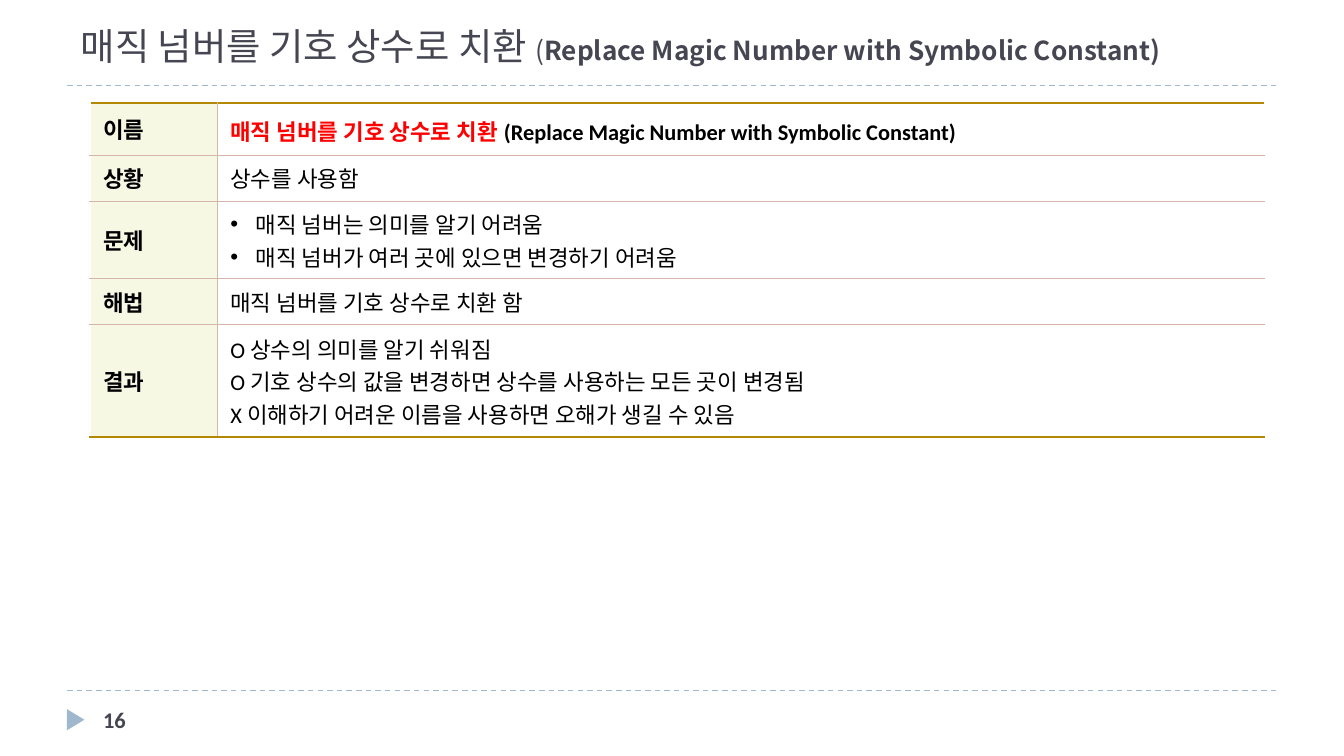
from lxml import etree
from pptx import Presentation
from pptx.dml.color import RGBColor
from pptx.enum.dml import MSO_LINE
from pptx.enum.shapes import MSO_CONNECTOR, MSO_SHAPE
from pptx.enum.text import MSO_ANCHOR, MSO_AUTO_SIZE, PP_ALIGN
from pptx.oxml.ns import qn
from pptx.util import Cm, Pt

DASH = MSO_LINE.DASH
STRAIGHT = MSO_CONNECTOR.STRAIGHT
TRIANGLE = MSO_SHAPE.ISOSCELES_TRIANGLE
MIDDLE, BOTTOM = MSO_ANCHOR.MIDDLE, MSO_ANCHOR.BOTTOM
LEFT = PP_ALIGN.LEFT
NO_FIT = MSO_AUTO_SIZE.NONE

BLACK = RGBColor(0x00, 0x00, 0x00)
RED = RGBColor(0xFF, 0x00, 0x00)
SLATE = RGBColor(0x46, 0x46, 0x53)
SKY = RGBColor(0x9F, 0xB8, 0xCD)
CREAM = RGBColor(0xF6, 0xF8, 0xE4)
GOLD = RGBColor(0xB3, 0x88, 0x07)
ROSE = RGBColor(0xD4, 0xB5, 0xAA)

KOREAN, LATIN = "Noto Sans CJK KR", "Calibri"
TITLE = {"name": KOREAN, "size": Pt(20), "bold": False, "color": SLATE}
SUBTITLE = {**TITLE, "size": Pt(14)}
NUMBER = {"name": LATIN, "size": Pt(12), "bold": True, "color": SLATE}
LABEL = {**NUMBER, "color": BLACK}
BODY = {**LABEL, "bold": False}

# label, row height in cm, bulleted, paragraphs of (text, format) runs
ROWS = [
    ("이름", 0.98, False, [[
        ("매직 넘버를 기호 상수로 치환", {**LABEL, "color": RED}),
        (" ", {**LABEL, "size": Pt(14)}),
        ("(Replace Magic Number with Symbolic Constant)", LABEL)]]),
    ("상황", 0.87, False, [[("상수를 사용함", BODY)]]),
    ("문제", 1.47, True, [
        [("매직 넘버는 의미를 알기 어려움", BODY)],
        [("매직 넘버가 여러 곳에 있으면 변경하기 어려움", BODY)]]),
    ("해법", 0.87, False, [[("매직 넘버를 기호 상수로 치환 함", BODY)]]),
    ("결과", 2.12, False, [
        [("O 상수의 의미를 알기 쉬워짐", BODY)],
        [("O 기호 상수의 값을 변경하면 상수를 사용하는 모든 곳이 변경됨", BODY)],
        [("X 이해하기 어려운 이름을 사용하면 오해가 생길 수 있음", BODY)]]),
]


class SlideBuilder:
    def __init__(self, prs):
        self.s = prs.slides.add_slide(prs.slide_layouts[5])

    def set_text(self, tf, paragraphs, bulleted=False):
        for i, runs in enumerate(paragraphs):
            p = tf.paragraphs[0] if i == 0 else tf.add_paragraph()
            p.alignment = LEFT
            if bulleted:
                self.bullet(p)
            for text, style in runs:
                r = p.add_run()
                r.text = text
                for key, value in style.items():
                    if key == "color":
                        r.font.color.rgb = value
                    else:
                        setattr(r.font, key, value)
                ea = etree.Element(qn("a:ea"), typeface=KOREAN)
                r._r.get_or_add_rPr().find(qn("a:latin")).addnext(ea)

    def bullet(self, p):
        pPr = p._p.get_or_add_pPr()
        pPr.set("marL", str(Cm(0.48)))
        pPr.set("indent", str(-Cm(0.48)))
        etree.SubElement(pPr, qn("a:buFont"), typeface="Arial")
        etree.SubElement(pPr, qn("a:buChar"), char="•")

    def title(self, x, y, w, h, runs):
        sp = self.s.shapes.title
        sp.left, sp.top, sp.width, sp.height = Cm(x), Cm(y), Cm(w), Cm(h)
        tf = sp.text_frame
        tf.auto_size, tf.vertical_anchor = NO_FIT, BOTTOM
        self.set_text(tf, [runs])

    def text(self, x, y, w, h, runs):
        tf = self.s.shapes.add_textbox(Cm(x), Cm(y), Cm(w), Cm(h)).text_frame
        tf.word_wrap = True
        self.set_text(tf, [runs])

    def rule(self, x1, x2, y):
        line = self.s.shapes.add_connector(STRAIGHT, Cm(x1), Cm(y), Cm(x2), Cm(y))
        line.line.color.rgb = SKY
        line.line.width = Pt(0.75)
        line.line.dash_style = DASH
        etree.SubElement(line._element.spPr, qn("a:effectLst"))

    def marker(self, x, y, w, h):
        sp = self.s.shapes.add_shape(TRIANGLE, Cm(x), Cm(y), Cm(w), Cm(h))
        sp.rotation = 90
        sp.shadow.inherit = False
        sp.fill.solid()
        sp.fill.fore_color.rgb = SKY
        sp.line.fill.background()

    def border(self, cell, side, color, width):
        tcPr = cell._tc.get_or_add_tcPr()
        ln = etree.SubElement(tcPr, qn(f"a:ln{side}"), w=str(Pt(width)))
        fill = etree.SubElement(ln, qn("a:solidFill"))
        etree.SubElement(fill, qn("a:srgbClr"), val=str(color))

    def cell(self, cell, paragraphs, is_label, is_first, is_last, bulleted=False):
        cell.vertical_anchor = MIDDLE
        self.border(cell, "R" if is_label else "L", ROSE, 0.5)
        for side, is_edge in (("T", is_first), ("B", is_last)):
            self.border(cell, side, *((GOLD, 1) if is_edge else (ROSE, 0.5)))
        if is_label:
            cell.fill.solid()
            cell.fill.fore_color.rgb = CREAM
        else:
            cell.fill.background()
        self.set_text(cell.text_frame, paragraphs, bulleted)

    def table(self, x, y, widths, rows):
        height = sum(row[1] for row in rows)
        table = self.s.shapes.add_table(len(rows), len(widths), Cm(x), Cm(y),
                                        Cm(sum(widths)), Cm(height)).table
        table.first_row = table.horz_banding = False
        for column, width in zip(table.columns, widths):
            column.width = Cm(width)
        for i, (label, row_height, bulleted, paragraphs) in enumerate(rows):
            table.rows[i].height = Cm(row_height)
            edges = (i == 0, i == len(rows) - 1)
            self.cell(table.cell(i, 0), [[(label, LABEL)]], True, *edges)
            self.cell(table.cell(i, 1), paragraphs, False, *edges, bulleted)


def main():
    prs = Presentation()
    prs.slide_width, prs.slide_height = Cm(25.4), Cm(14.29)
    slide = SlideBuilder(prs)
    for y in (13.05, 1.62):
        slide.rule(1.27, 24.13, y)
    slide.marker(1.23, 13.44, 0.4, 0.33)
    slide.title(1.27, 0.28, 22.86, 1.14, [
        ("매직 넘버를 기호 상수로 치환 ", TITLE),
        ("(", SUBTITLE),
        ("Replace Magic Number with Symbolic Constant)", {**SUBTITLE, "bold": True})])
    slide.text(1.7, 13.23, 5.5, 0.76, [("16", NUMBER)])
    slide.table(1.7, 1.95, (2.4, 19.8), ROWS)
    prs.save("out.pptx")


if __name__ == "__main__":
    main()
